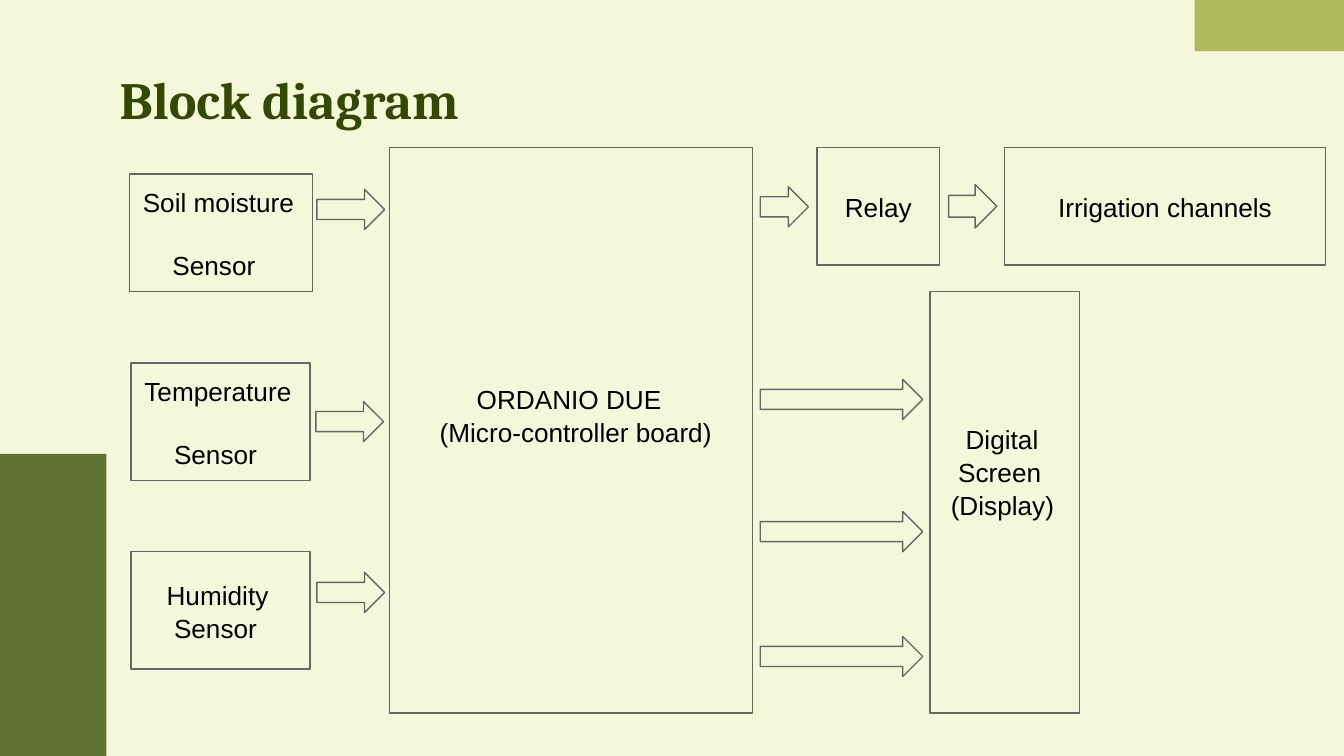
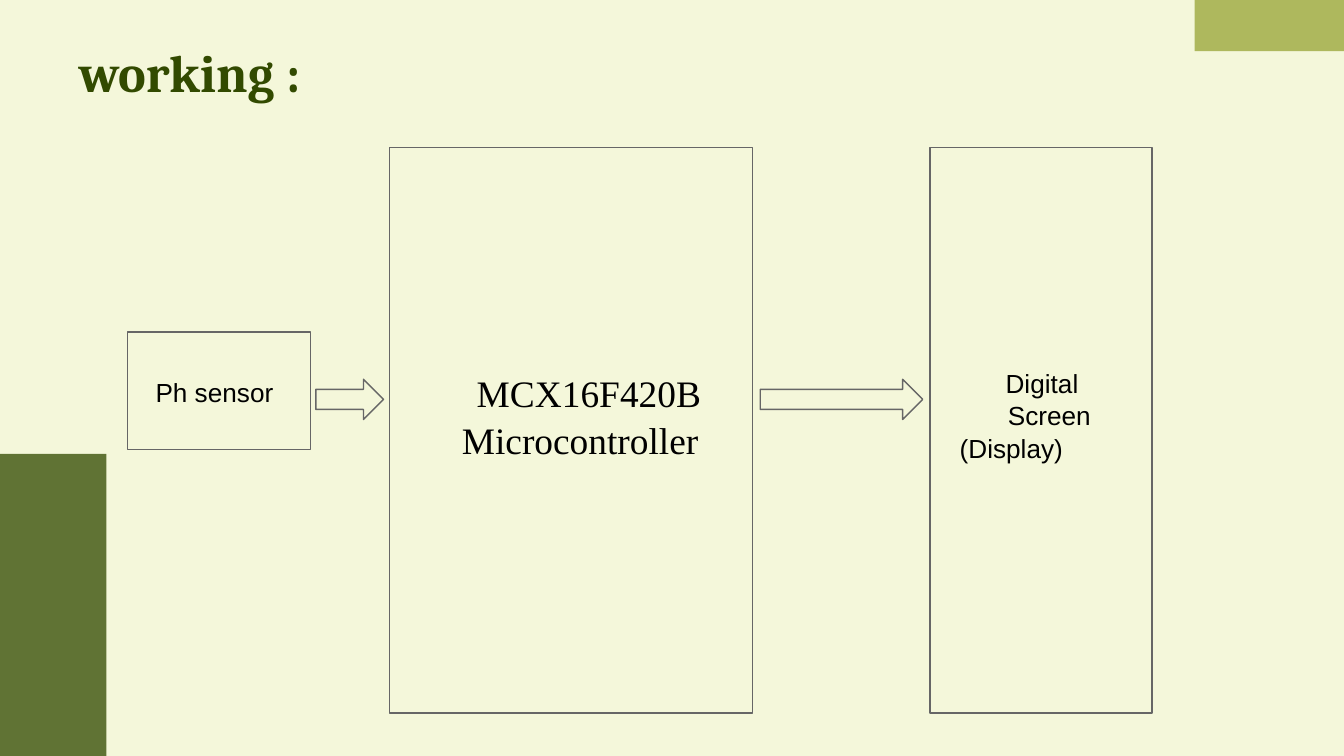
from dataclasses import dataclass

import lxml.etree
import pptx
import pptx.dml.color
import pptx.enum.shapes
import pptx.enum.text
import pptx.oxml.ns
import pptx.util
from pptx.util import Cm

SHAPES = pptx.enum.shapes.MSO_SHAPE


@dataclass(frozen=True)
class Theme:
    paper: str = "F4F7DA"
    title: str = "324A00"
    corner: str = "7C8C03"
    outline: str = "666666"
    text: str = "000000"
    title_font: str = "Cambria"
    label_font: str = "Arial"
    chip_font: str = "Times New Roman"
    title_size: int = 28
    label_size: int = 14
    chip_size: int = 20
    outline_width: float = 0.75
    inset: float = 0.25
    line_height: float = 0.59
    line_spacing: float = 1.05
    indent_step: float = 0.14


@dataclass(frozen=True)
class Box:
    """A region in centimetres."""
    left: float
    top: float
    width: float
    height: float

    def inner(self, left, top, width, height):
        return Box(self.left + left, self.top + top, width, height)

    def lengths(self):
        return [Cm(v) for v in (self.left, self.top, self.width, self.height)]


THEME = Theme()
SLIDE = Box(0, 0, 25.4, 14.29)
DIAGRAM = Box(2.41, 2.79, 22.63, 10.69)
BLOCK_HEIGHT = 2.22
ARROW_HEIGHT = 0.76


def color(value):
    return pptx.dml.color.RGBColor.from_string(value)


def style_font(font, name, size, rgb, bold=False):
    font.name = name
    font.size = pptx.util.Pt(size)
    font.bold = bold
    font.color.rgb = color(rgb)


def set_insets(frame, below=0.0):
    frame.word_wrap = True
    frame.margin_left = frame.margin_right = frame.margin_top = Cm(THEME.inset)
    frame.margin_bottom = Cm(THEME.inset + below)


# Shared slide parts

def add_band(slide, box, rgb, opacity):
    band = slide.shapes.add_shape(SHAPES.RECTANGLE, *box.lengths())
    band.shadow.inherit = False
    band.fill.solid()
    band.fill.fore_color.rgb = color(rgb)
    band.line.fill.background()
    tint = band._element.spPr.find(".//" + pptx.oxml.ns.qn("a:srgbClr"))
    alpha = lxml.etree.SubElement(tint, pptx.oxml.ns.qn("a:alpha"))
    alpha.set("val", str(opacity * 1000))


def add_slide(deck, title, title_box):
    slide = deck.slides.add_slide(deck.slide_layouts[6])
    slide.background.fill.solid()
    slide.background.fill.fore_color.rgb = color(THEME.paper)
    add_band(slide, SLIDE.inner(0, 8.58, 2.01, 5.71), THEME.title, 76)
    add_band(slide, SLIDE.inner(22.58, 0, 2.82, 0.97), THEME.corner, 58)

    heading = slide.shapes.add_textbox(*title_box.lengths()).text_frame
    set_insets(heading)
    heading.text = title
    style_font(heading.paragraphs[0].font, THEME.title_font,
               THEME.title_size, THEME.title, bold=True)
    return slide


# Diagram parts

def add_outlined(slide, kind, box):
    part = slide.shapes.add_shape(kind, *box.lengths())
    part.shadow.inherit = False
    part.fill.solid()
    part.fill.fore_color.rgb = color(THEME.paper)
    part.line.color.rgb = color(THEME.outline)
    part.line.width = pptx.util.Pt(THEME.outline_width)
    return part


def add_arrow(slide, box):
    add_outlined(slide, SHAPES.RIGHT_ARROW, box)


def add_block(slide, box, lines, lift=0, gap=0, centered=False,
              font=THEME.label_font, size=THEME.label_size):
    """Lines are (text, indent steps); lift is the free lines kept below."""
    frame = add_outlined(slide, SHAPES.RECTANGLE, box).text_frame
    set_insets(frame, lift * THEME.line_height)
    frame.vertical_anchor = pptx.enum.text.MSO_ANCHOR.MIDDLE
    align = pptx.enum.text.PP_ALIGN
    for number, (text, steps) in enumerate(lines):
        line = frame.add_paragraph() if number else frame.paragraphs[0]
        line.text = text
        line.alignment = align.CENTER if centered else align.LEFT
        line.line_spacing = THEME.line_spacing
        if number and gap:
            line.space_before = pptx.util.Pt(gap)
        if steps:
            indent = int(Cm(steps * THEME.indent_step))
            line._p.get_or_add_pPr().set("marL", str(indent))
        style_font(line.font, font, size, THEME.text)


# Regions

def add_controller(slide, box, lines, **text_style):
    add_block(slide, box.inner(4.95, 0, 6.86, box.height), lines, lift=1, **text_style)


def add_sensors(slide, box):
    sensors = [
        # name, indent, left, width, paragraph gap, arrow left, arrow top
        ("Soil moisture", 0, 0.04, 3.46, 16, 3.58, 0.79),
        ("Temperature", 0, 0.07, 3.38, 16, 3.56, 4.8),
        ("Humidity", 3, 0.07, 3.38, 0, 3.58, 8.03),
    ]
    for row, (name, steps, left, width, gap, arrow_left, arrow_top) in enumerate(sensors):
        add_block(slide, box.inner(left, 0.5 + 3.57 * row, width, BLOCK_HEIGHT),
                  [(name, steps), ("Sensor", 4)], gap=gap)
        add_arrow(slide, box.inner(arrow_left, arrow_top, 1.28, ARROW_HEIGHT))


def add_irrigation(slide, box):
    add_arrow(slide, box.inner(11.96, 0.74, 0.91, ARROW_HEIGHT))
    add_block(slide, box.inner(13.03, 0, 2.32, BLOCK_HEIGHT), [("Relay", 0)], centered=True)
    add_arrow(slide, box.inner(15.52, 0.7, 0.91, 0.82))
    add_block(slide, box.inner(16.58, 0, 6.06, BLOCK_HEIGHT),
              [("Irrigation channels", 0)], centered=True)


def add_display(slide, box, top, width, steps, lift, arrow_tops):
    for arrow_top in arrow_tops:
        add_arrow(slide, box.inner(11.96, arrow_top, 3.07, ARROW_HEIGHT))
    words = ("Digital", "Screen", "(Display)")
    add_block(slide, box.inner(15.17, top, width, box.height - top),
              list(zip(words, steps)), lift=lift)


# Slides

def build_block_diagram(deck, box):
    slide = add_slide(deck, "Block diagram", Box(2.01, 1.02, 21.39, 1.6))
    add_controller(slide, box, [("ORDANIO DUE", 10), ("(Micro-controller board)", 5)])
    add_sensors(slide, box)
    add_irrigation(slide, box)
    add_display(slide, box, top=2.72, width=2.82, steps=(3, 2, 1), lift=2,
                arrow_tops=(4.38, 6.88, 9.24))


def build_working(deck, box):
    slide = add_slide(deck, "working :", Box(1.24, 0.51, 21.39, 1.6))
    add_controller(slide, box, [("MCX16F420B", 10), ("Microcontroller", 8)],
                   font=THEME.chip_font, size=THEME.chip_size)
    add_block(slide, box.inner(0, 3.49, 3.46, BLOCK_HEIGHT), [("Ph sensor", 2)])
    add_arrow(slide, box.inner(3.56, 4.38, 1.28, ARROW_HEIGHT))
    add_display(slide, box, top=0, width=4.19, steps=(8.4, 8.7, 2.2), lift=1,
                arrow_tops=(4.38,))


def main():
    deck = pptx.Presentation()
    deck.slide_width, deck.slide_height = Cm(SLIDE.width), Cm(SLIDE.height)
    build_block_diagram(deck, DIAGRAM)
    build_working(deck, DIAGRAM)
    deck.save("out.pptx")


if __name__ == "__main__":
    main()
